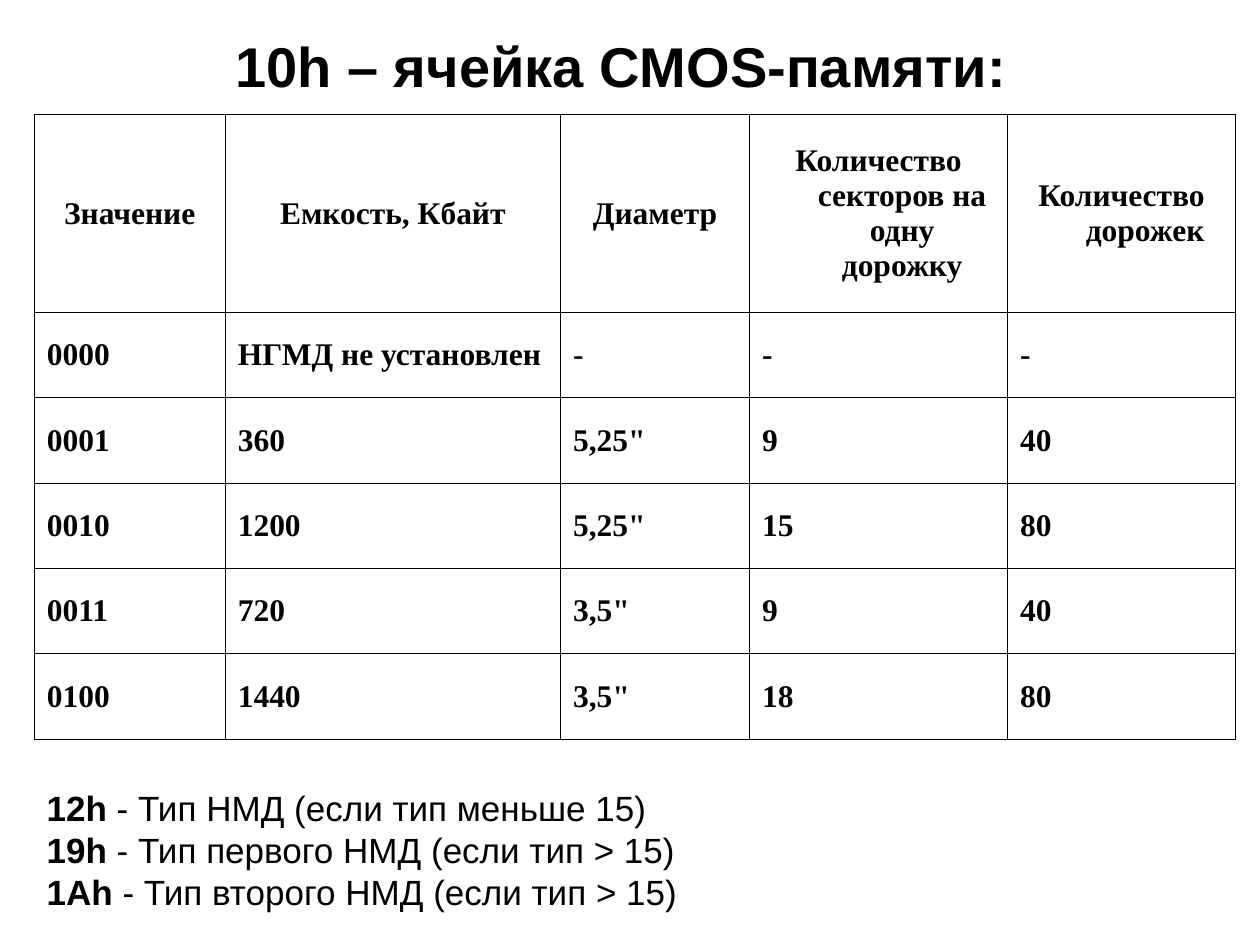
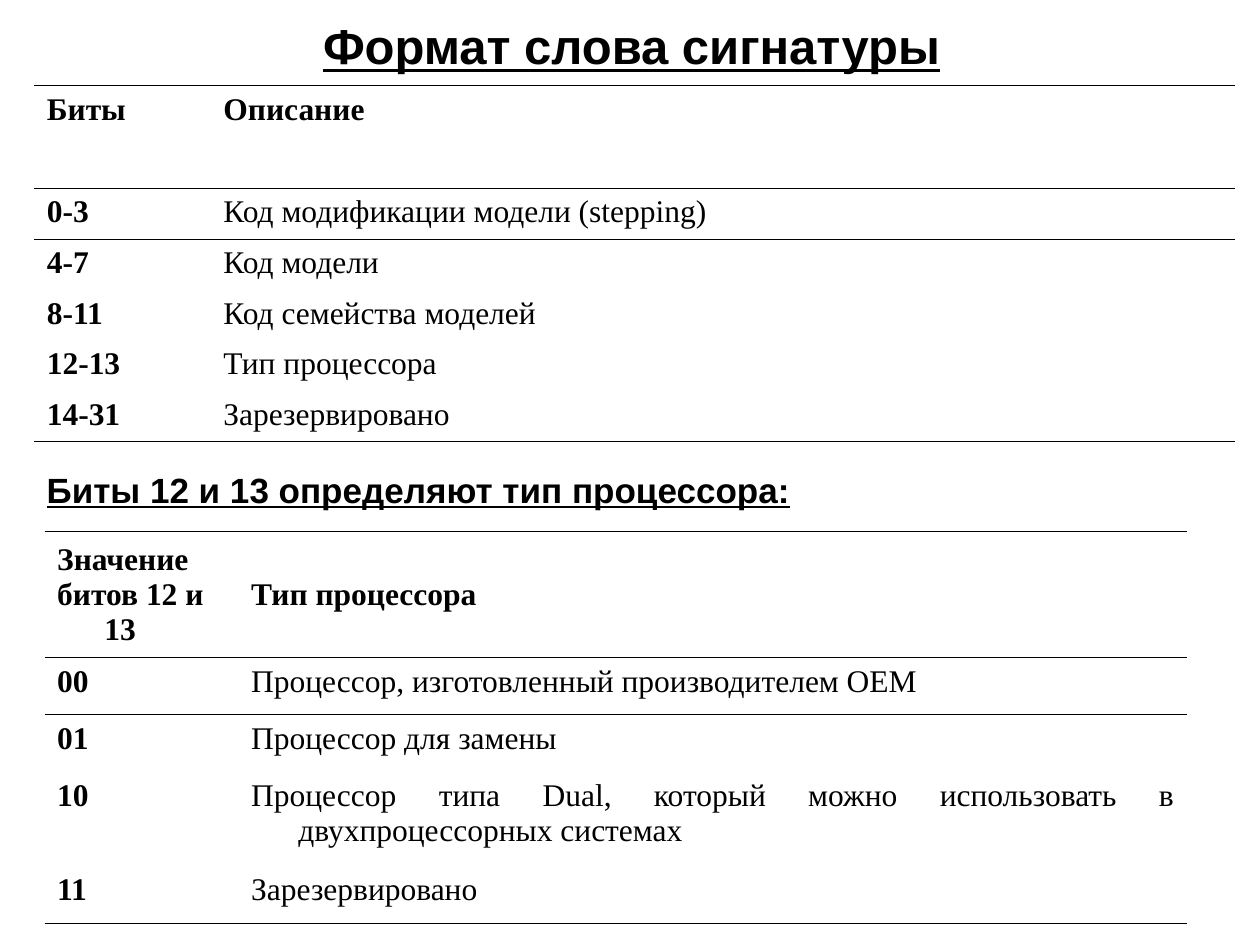
"""Build two slides about CMOS memory cells and the processor signature word."""
from dataclasses import dataclass
from typing import Any

from lxml.etree import SubElement
from pptx import Presentation
from pptx.dml.color import RGBColor
from pptx.enum.text import MSO_ANCHOR, MSO_AUTO_SIZE, PP_ALIGN
from pptx.oxml.ns import qn
from pptx.util import Cm, Pt

BLACK = "000000"
BORDER_WIDTH = Pt(0.45)
HANGING_INDENT = Cm(0.95)
PLAIN_TABLE_STYLE = "{2D5ABB26-0587-4C30-8999-92F81FD0307C}"
ALL_SIDES = ("lnL", "lnR", "lnT", "lnB")
TITLE_FONT = {"name": "Arial", "bold": True}
NOTE_FONT = {"name": "Arial", "size": Pt(20)}
CELL_FONT = {"name": "Times New Roman", "size": Pt(18)}


@dataclass(frozen=True)
class Box:
    """Position and size in centimetres."""
    left: float
    top: float
    width: float
    height: float

    def lengths(self) -> tuple[Cm, Cm, Cm, Cm]:
        """Return the four lengths for a shape call."""
        return Cm(self.left), Cm(self.top), Cm(self.width), Cm(self.height)


@dataclass(frozen=True)
class TableSpec:
    """Contents and look of one table."""
    left: float
    top: float
    columns: list[float]
    row_heights: list[float]
    rows: list[list[str]]
    header_alignment: PP_ALIGN = PP_ALIGN.JUSTIFY
    header_anchor: MSO_ANCHOR = MSO_ANCHOR.TOP
    body_anchor: MSO_ANCHOR = MSO_ANCHOR.TOP
    full_grid: bool = False


@dataclass(frozen=True)
class Phrase:
    """A piece of text with its own emphasis."""
    text: str
    bold: bool = False
    underline: bool = False


def apply_format(target: Any, values: dict[str, Any]) -> None:
    """Set every attribute named in the format values."""
    for name, value in values.items():
        setattr(target, name, value)


def colour(hex_value: str) -> RGBColor:
    """Turn a hex string into a colour."""
    return RGBColor.from_string(hex_value)


def format_font(font: Any, values: dict[str, Any], **extra: Any) -> None:
    """Format a font and make it black."""
    apply_format(font, {**values, **extra})
    font.color.rgb = colour(BLACK)


def set_title(slide: Any, text: str, box: Box, size: int, underline: bool = False) -> None:
    """Place and format the title placeholder."""
    title = slide.shapes.title
    apply_format(title, dict(zip(("left", "top", "width", "height"), box.lengths())))
    frame = title.text_frame
    frame.text = text
    apply_format(frame, {"vertical_anchor": MSO_ANCHOR.MIDDLE, "word_wrap": True,
                         "auto_size": MSO_AUTO_SIZE.NONE})
    paragraph = frame.paragraphs[0]
    paragraph.alignment = PP_ALIGN.CENTER
    format_font(paragraph.runs[0].font, TITLE_FONT, size=Pt(size), underline=underline)


def add_note(slide: Any, box: Box, lines: list[list[Phrase]], wrap: bool = True) -> None:
    """Add a text box with one paragraph for each line."""
    frame = slide.shapes.add_textbox(*box.lengths()).text_frame
    apply_format(frame, {"word_wrap": wrap, "auto_size": MSO_AUTO_SIZE.SHAPE_TO_FIT_TEXT})
    for index, phrases in enumerate(lines):
        paragraph = frame.add_paragraph() if index else frame.paragraphs[0]
        for phrase in phrases:
            run = paragraph.add_run()
            run.text = phrase.text
            format_font(run.font, NOTE_FONT, bold=phrase.bold, underline=phrase.underline)


def border_sides(spec: TableSpec, row: int) -> tuple[str, ...]:
    """Name the ruled sides of the cells in a row."""
    if spec.full_grid:
        return ALL_SIDES
    top = ("lnT",) if row <= 1 else ()
    bottom = ("lnB",) if row in (0, len(spec.rows) - 1) else ()
    return top + bottom


def draw_borders(cell: Any, sides: tuple[str, ...]) -> None:
    """Rule the given sides of a cell and leave it unfilled."""
    properties = cell._tc.get_or_add_tcPr()
    for side in sides:
        line = SubElement(properties, qn(f"a:{side}"), w=str(BORDER_WIDTH))
        fill = SubElement(line, qn("a:solidFill"))
        SubElement(fill, qn("a:srgbClr"), val=BLACK)
    cell.fill.background()


def add_table(slide: Any, spec: TableSpec) -> None:
    """Add a ruled table with hanging indents."""
    box = Box(spec.left, spec.top, sum(spec.columns), sum(spec.row_heights))
    table = slide.shapes.add_table(len(spec.rows), len(spec.columns), *box.lengths()).table
    apply_format(table, {"first_row": False, "horz_banding": False})
    table._tbl.tblPr.find(qn("a:tableStyleId")).text = PLAIN_TABLE_STYLE
    for column, width in zip(table.columns, spec.columns):
        column.width = Cm(width)
    for row, height in zip(table.rows, spec.row_heights):
        row.height = Cm(height)
    for row_index, texts in enumerate(spec.rows):
        header = row_index == 0
        for column_index, text in enumerate(texts):
            cell = table.cell(row_index, column_index)
            cell.text = text
            cell.vertical_anchor = spec.header_anchor if header else spec.body_anchor
            bold = header or column_index == 0 or spec.full_grid
            for paragraph in cell.text_frame.paragraphs:
                paragraph.alignment = spec.header_alignment if header else PP_ALIGN.JUSTIFY
                properties = paragraph._p.get_or_add_pPr()
                properties.set("marL", str(HANGING_INDENT))
                properties.set("indent", str(-HANGING_INDENT))
                format_font(paragraph.runs[0].font, CELL_FONT, bold=bold)
            draw_borders(cell, border_sides(spec, row_index))


DRIVE_TABLE = TableSpec(
    0.69, 2.31, [3.85, 6.76, 3.81, 5.2, 4.6], [3.99] + [1.72] * 5,
    [["Значение", "Емкость, Кбайт", "Диаметр",
      "Количество секторов на одну дорожку", "Количество дорожек"],
     ["0000", "НГМД не установлен", "-", "-", "-"],
     ["0001", "360", '5,25"', "9", "40"],
     ["0010", "1200", '5,25"', "15", "80"],
     ["0011", "720", '3,5"', "9", "40"],
     ["0100", "1440", '3,5"', "18", "80"]],
    PP_ALIGN.CENTER, MSO_ANCHOR.MIDDLE, MSO_ANCHOR.MIDDLE, full_grid=True)

SIGNATURE_TABLE = TableSpec(
    0.69, 1.73, [3.56, 20.65], [2.07] + [1.02] * 5,
    [["Биты", "Описание"],
     ["0-3", "Код модификации модели (stepping)"],
     ["4-7", "Код модели"],
     ["8-11", "Код семейства моделей"],
     ["12-13", "Тип процессора"],
     ["14-31", "Зарезервировано"]])

PROCESSOR_TABLE = TableSpec(
    0.9, 10.72, [3.91, 19.12], [2.54, 1.15, 1.15, 1.9, 1.15],
    [["Значение\nбитов 12 и 13", "Тип процессора"],
     ["00", "Процессор, изготовленный производителем OEM"],
     ["01", "Процессор для замены"],
     ["10", "Процессор типа Dual, который можно использовать в двухпроцессорных системах"],
     ["11", "Зарезервировано"]],
    PP_ALIGN.LEFT, MSO_ANCHOR.MIDDLE)

DISK_CELLS = [("12h", "Тип НМД (если тип меньше 15)"),
              ("19h", "Тип первого НМД (если тип > 15)"),
              ("1Ah", "Тип второго НМД (если тип > 15)")]


def build_memory_slide(slide: Any) -> None:
    """Fill the slide about CMOS memory cells."""
    set_title(slide, "10h – ячейка CMOS-памяти:", Box(1.09, 0.33, 22.86, 1.96), 32)
    add_table(slide, DRIVE_TABLE)
    add_note(slide, Box(0.69, 15.72, 18.47, 2.79),
             [[Phrase(address, bold=True), Phrase(f" - {meaning}")]
              for address, meaning in DISK_CELLS])


def build_signature_slide(slide: Any) -> None:
    """Fill the slide about the signature word."""
    set_title(slide, "Формат слова сигнатуры", Box(1.3, 0.33, 22.86, 1.17), 28, underline=True)
    add_table(slide, SIGNATURE_TABLE)
    add_note(slide, Box(0.69, 9.32, 15.7, 1.12),
             [[Phrase("Биты 12 и 13 определяют тип процессора:", bold=True, underline=True)]],
             wrap=False)
    add_table(slide, PROCESSOR_TABLE)


def main() -> None:
    """Create and save the presentation."""
    presentation = Presentation()
    presentation.slide_width, presentation.slide_height = Cm(25.4), Cm(19.05)
    title_only = presentation.slide_layouts.get_by_name("Title Only")
    for build in (build_memory_slide, build_signature_slide):
        build(presentation.slides.add_slide(title_only))
    presentation.save("out.pptx")


if __name__ == "__main__":
    main()
